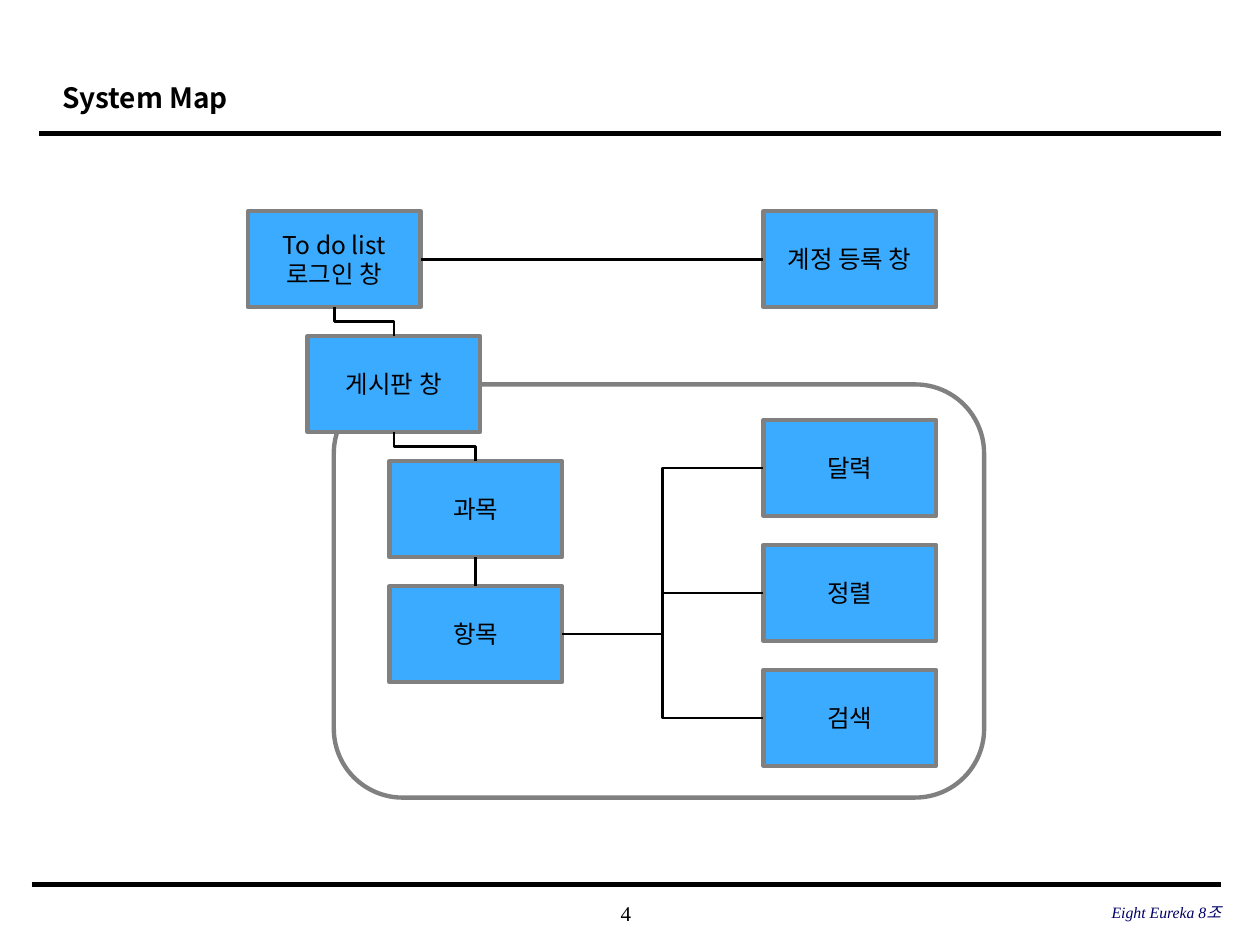
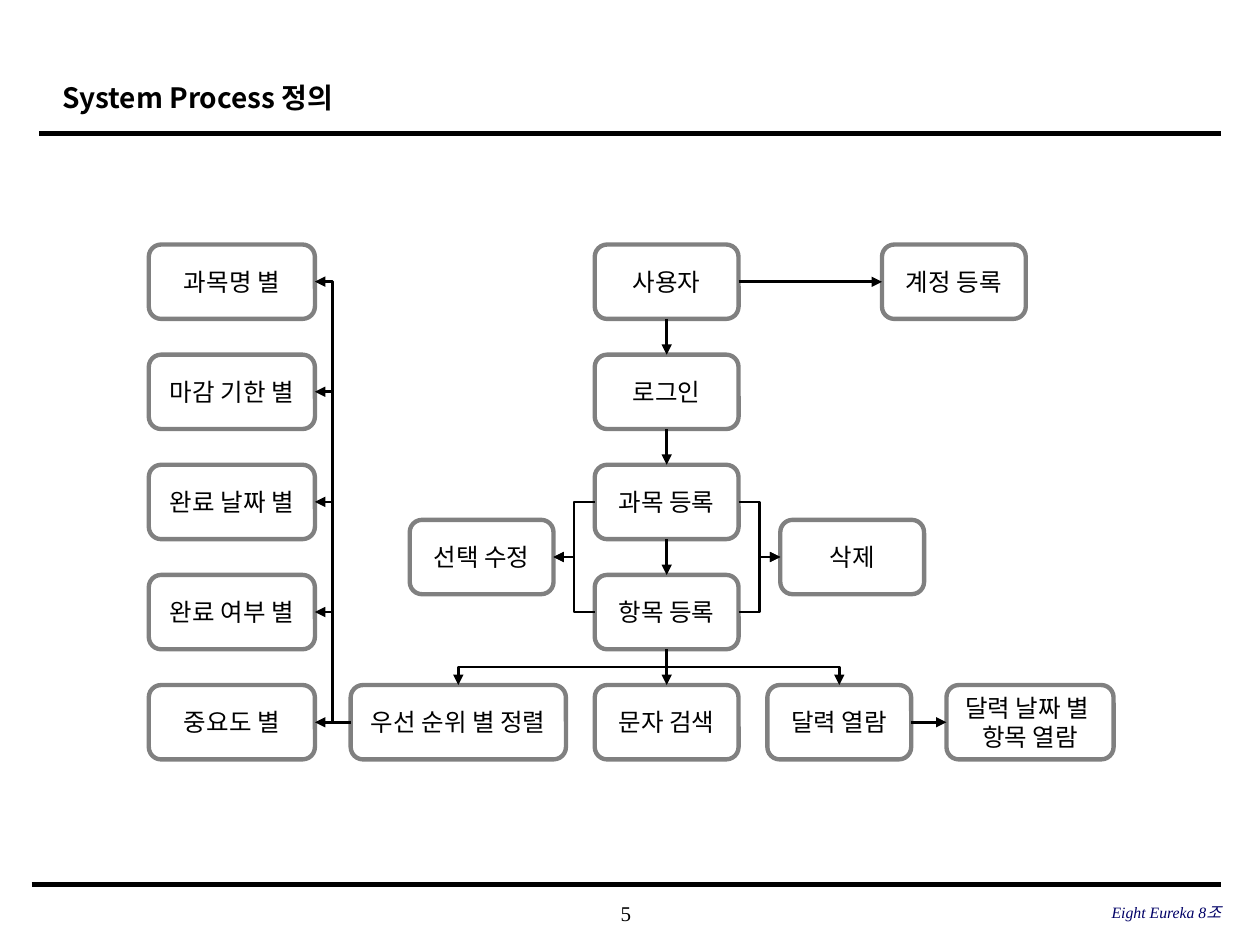
import pptx
import pptx.dml.color
import pptx.enum.shapes
import pptx.enum.text
import pptx.oxml.ns
import pptx.util
import lxml.etree

Cm = pptx.util.Cm
Pt = pptx.util.Pt
RGBColor = pptx.dml.color.RGBColor
SHAPE = pptx.enum.shapes.MSO_SHAPE
CONNECTOR = pptx.enum.shapes.MSO_CONNECTOR
ALIGN = pptx.enum.text.PP_ALIGN
ANCHOR = pptx.enum.text.MSO_ANCHOR
qn = pptx.oxml.ns.qn

BLACK = RGBColor(0x00, 0x00, 0x00)
GRAY = RGBColor(0x80, 0x80, 0x80)
BLUE = RGBColor(0x3B, 0xAB, 0xFF)
NAVY = RGBColor(0x00, 0x00, 0x66)
SANS = "Noto Sans CJK KR"
SERIF = "Times New Roman"

# Connection sites of a rectangle
TOP, LEFT, BOTTOM, RIGHT = range(4)

# Content: boxes are name: (text, left in cm, row, width in cm)
FOOTER = "Eight Eureka 8조"

SYSTEM_MAP = {
    "title": "System Map",
    "page": "4",
    "shape": SHAPE.RECTANGLE,
    "fill": BLUE,
    "arrows": False,
    "first_top": 4.26,
    "pitch": 2.52,
    "height": 1.93,
    "frame": (6.73, 7.75, 13.11, 8.33),
    "boxes": {
        "login": ("To do list\n로그인 창", 5, 0, 3.48),
        "account": ("계정 등록 창", 15.39, 0, 3.48),
        "board": ("게시판 창", 6.2, 1, 3.48),
        "subject": ("과목", 7.85, 2, 3.48),
        "item": ("항목", 7.85, 3, 3.48),
        "calendar": ("달력", 15.39, 1.67, 3.48),
        "sort": ("정렬", 15.39, 2.67, 3.48),
        "search": ("검색", 15.39, 3.67, 3.48),
    },
    "links": [
        ("login", RIGHT, LEFT, ["account"]),
        ("login", BOTTOM, TOP, ["board"]),
        ("board", BOTTOM, TOP, ["subject"]),
        ("subject", BOTTOM, TOP, ["item"]),
        ("item", RIGHT, LEFT, ["calendar", "sort", "search"]),
    ],
}

SYSTEM_PROCESS = {
    "title": "System Process 정의",
    "page": "5",
    "shape": SHAPE.ROUNDED_RECTANGLE,
    "fill": None,
    "arrows": True,
    "first_top": 4.93,
    "pitch": 2.22,
    "height": 1.5,
    "frame": None,
    "boxes": {
        "user": ("사용자", 11.99, 0, 2.9),
        "login": ("로그인", 11.99, 1, 2.9),
        "subject": ("과목 등록", 11.99, 2, 2.9),
        "item": ("항목 등록", 11.99, 3, 2.9),
        "search": ("문자 검색", 11.99, 4, 2.9),
        "account": ("계정 등록", 17.78, 0, 2.9),
        "edit": ("선택 수정", 8.26, 2.5, 2.9),
        "delete": ("삭제", 15.73, 2.5, 2.9),
        "priority": ("우선 순위 별 정렬", 7.07, 4, 4.34),
        "calendar": ("달력 열람", 15.47, 4, 2.9),
        "by day": ("달력 날짜 별 \n항목 열람", 19.08, 4, 3.37),
        "by subject": ("과목명 별", 3, 0, 3.35),
        "by deadline": ("마감 기한 별", 3, 1, 3.35),
        "by finish date": ("완료 날짜 별", 3, 2, 3.35),
        "by status": ("완료 여부 별", 3, 3, 3.35),
        "by importance": ("중요도 별", 3, 4, 3.35),
    },
    "links": [
        ("user", RIGHT, LEFT, ["account"]),
        ("user", BOTTOM, TOP, ["login"]),
        ("login", BOTTOM, TOP, ["subject"]),
        ("subject", BOTTOM, TOP, ["item"]),
        ("subject", LEFT, RIGHT, ["edit"]),
        ("item", LEFT, RIGHT, ["edit"]),
        ("subject", RIGHT, LEFT, ["delete"]),
        ("item", RIGHT, LEFT, ["delete"]),
        ("item", BOTTOM, TOP, ["priority", "search", "calendar"]),
        ("calendar", RIGHT, LEFT, ["by day"]),
        ("priority", LEFT, RIGHT, ["by subject", "by deadline", "by finish date",
                                   "by status", "by importance"]),
    ],
}


def write(frame, text, size, font, color=BLACK, align=ALIGN.CENTER, bold=False, italic=False):
    """Fill a text frame, one paragraph for each line."""
    frame.vertical_anchor = ANCHOR.MIDDLE
    for index, line in enumerate(text.split("\n")):
        para = frame.paragraphs[0] if index == 0 else frame.add_paragraph()
        para.alignment = align
        span = para.add_run()
        span.text = line
        span.font.size = Pt(size)
        span.font.name = font
        span.font.bold = bold
        span.font.italic = italic
        span.font.color.rgb = color
        east_asian = lxml.etree.SubElement(span.font._element, qn("a:ea"))
        east_asian.set("typeface", SANS)


def add_label(page, left, top, width, height, text, *style, **options):
    frame = page.shapes.add_textbox(Cm(left), Cm(top), Cm(width), Cm(height)).text_frame
    frame.word_wrap = True
    frame.margin_left = frame.margin_right = frame.margin_top = frame.margin_bottom = 0
    write(frame, text, *style, **options)


def add_line(page, kind, start, end, weight, arrow=False):
    line = page.shapes.add_connector(kind, *start, *end)
    line.line.color.rgb = BLACK
    line.line.width = Pt(weight)
    if arrow:
        tail = lxml.etree.SubElement(line.line._get_or_add_ln(), qn("a:tailEnd"))
        tail.set("type", "triangle")
    lxml.etree.SubElement(line.element.spPr, qn("a:effectLst"))
    return line


def add_box(page, kind, left, top, width, height, fill=None):
    box = page.shapes.add_shape(kind, Cm(left), Cm(top), Cm(width), Cm(height))
    box.shadow.inherit = False
    if fill is None:
        box.fill.background()
    else:
        box.fill.solid()
        box.fill.fore_color.rgb = fill
    box.line.color.rgb = GRAY
    box.line.width = Pt(2.5)
    return box


def site(box, side):
    x = {LEFT: 0, RIGHT: box.width}.get(side, box.width // 2)
    y = {TOP: 0, BOTTOM: box.height}.get(side, box.height // 2)
    return box.left + x, box.top + y


def add_link(page, source, source_side, target, target_side, arrow):
    """Join two boxes, straight when they line up and bent otherwise."""
    start, end = site(source, source_side), site(target, target_side)
    across, down = end[0] - start[0], end[1] - start[1]
    straight = min(abs(across), abs(down)) < Cm(0.05)
    kind = CONNECTOR.STRAIGHT if straight else CONNECTOR.ELBOW
    link = add_line(page, kind, start, end, 1.5, arrow)
    link.begin_connect(source, source_side)
    link.end_connect(target, target_side)
    if source_side == BOTTOM and not straight:
        # A bend that leaves downwards is a turned sideways bend
        link.width, link.height = down, abs(across)
        link.left = (start[0] + end[0] - down) // 2
        link.top = (start[1] + end[1] - abs(across)) // 2
        xfrm = link.element.spPr.find(qn("a:xfrm"))
        xfrm.set("rot", str((270 if across > 0 else 90) * 60000))
        xfrm.set("flipH", "1" if across > 0 else "0")


def add_page(deck, content):
    """Start a slide with the shared title, rules and footer."""
    page = deck.slides.add_slide(deck.slide_layouts[5])
    title = page.shapes.title
    title.left, title.top, title.width, title.height = Cm(1), Cm(1.25), Cm(19.18), Cm(1.27)
    title.text_frame.auto_size = pptx.enum.text.MSO_AUTO_SIZE.NONE
    write(title.text_frame, content["title"], 16, SANS, align=ALIGN.LEFT, bold=True)
    title.text_frame.paragraphs[0].line_spacing = 1.2
    for left, y, weight in [(0.79, 2.69, 2.5), (0.64, 17.83, 3)]:
        add_line(page, CONNECTOR.STRAIGHT, (Cm(left), Cm(y)), (Cm(24.61), Cm(y)), weight)
    add_label(page, 9.98, 17.98, 5.28, 0.84, content["page"], 12, SERIF)
    add_label(page, 16.84, 17.96, 7.77, 0.84, FOOTER, 9, SERIF, NAVY,
              align=ALIGN.RIGHT, italic=True)
    return page


def add_diagram(page, content):
    if content["frame"]:
        add_box(page, SHAPE.ROUNDED_RECTANGLE, *content["frame"])
    boxes = {}
    for name, (text, left, row, width) in content["boxes"].items():
        top = content["first_top"] + row * content["pitch"]
        box = add_box(page, content["shape"], left, top, width, content["height"], content["fill"])
        box.text_frame.word_wrap = False
        write(box.text_frame, text, 14, SANS)
        boxes[name] = box
    for source, source_side, target_side, targets in content["links"]:
        for target in targets:
            add_link(page, boxes[source], source_side, boxes[target], target_side,
                     content["arrows"])


def main():
    deck = pptx.Presentation()
    deck.slide_width, deck.slide_height = Cm(25.4), Cm(19.05)
    for content in (SYSTEM_MAP, SYSTEM_PROCESS):
        add_diagram(add_page(deck, content), content)
    deck.save("out.pptx")


if __name__ == "__main__":
    main()
